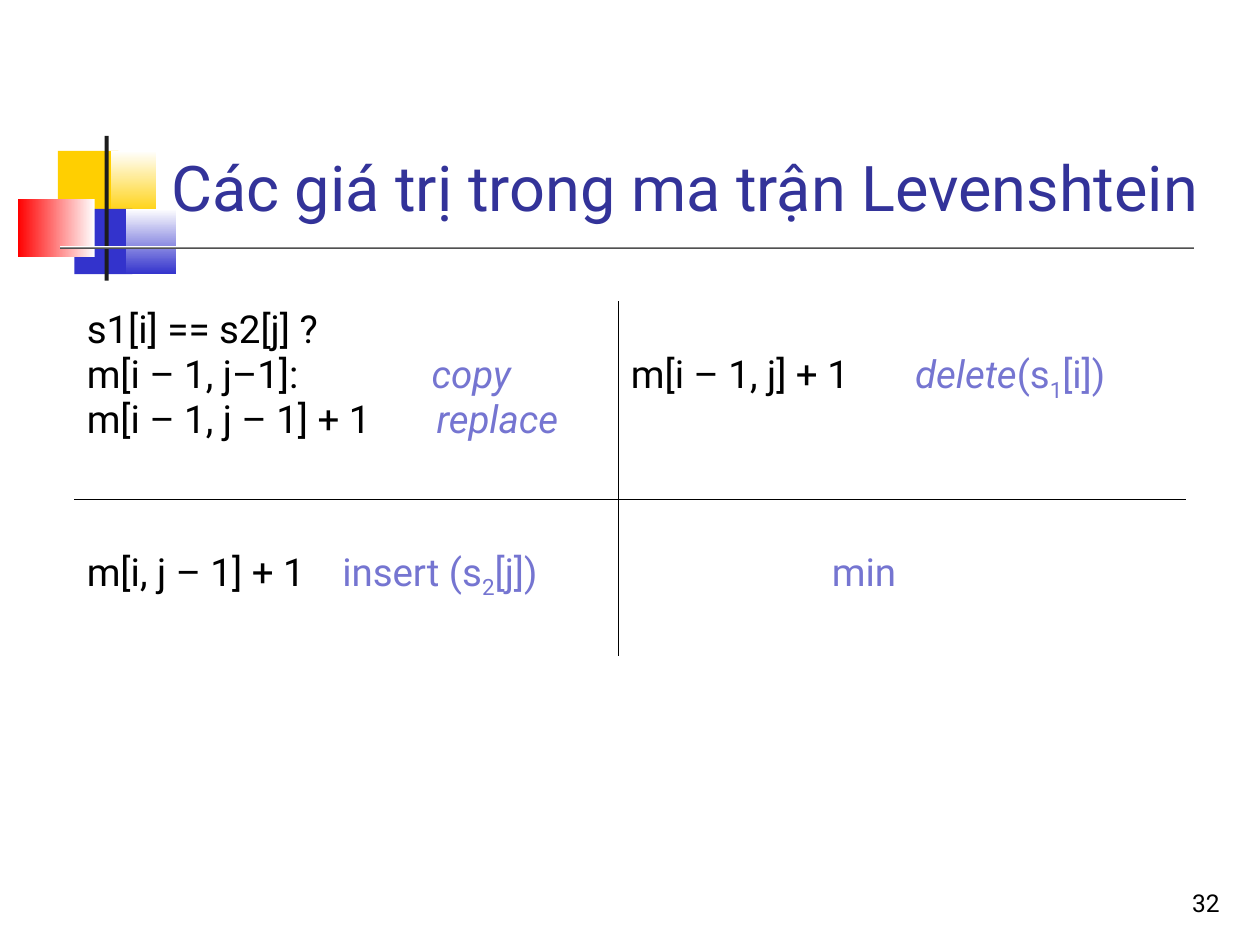
"""Build the slide on the values of the Levenshtein matrix."""
from lxml import etree
from pptx import Presentation
from pptx import util as u
from pptx.dml import color
from pptx.enum import shapes, text
from pptx.oxml import ns

COLORS = {
    "yellow": "FFCF01", "blue": "3333CC", "red": "FF0000", "white": "FFFFFF",
    "dark": "1C1C1C", "title": "333399", "black": "000000", "operation": "7575D1",
}
FONT = "Roboto"
PLAIN = {"color": "black"}
OPERATION = {"color": "operation"}
EMPHASIS = {"color": "operation", "italic": True}
SUBSCRIPT = {"color": "operation", "baseline": "-25000"}


def rgb(name):
    """Return the named colour."""
    return color.RGBColor.from_string(COLORS[name])


def add_element(parent, tag, **attributes):
    """Append a DrawingML element to the parent."""
    return etree.SubElement(parent, ns.qn(tag), attributes)


def add_run(paragraph, words, size, style):
    """Append a run with the given size and style."""
    run = paragraph.add_run()
    run.text = words
    formats = {"name": FONT, "size": u.Pt(size), "italic": style.get("italic", False)}
    for attribute, value in formats.items():
        setattr(run.font, attribute, value)
    run.font.color.rgb = rgb(style["color"])
    if "baseline" in style:
        run.font._element.set("baseline", style["baseline"])


def add_label(slide, box, words, size, style, alignment):
    """Place a bottom-anchored line of text in the box."""
    frame = slide.shapes.add_textbox(*map(u.Cm, box)).text_frame
    formats = {"word_wrap": True, "vertical_anchor": text.MSO_ANCHOR.BOTTOM}
    for attribute, value in formats.items():
        setattr(frame, attribute, value)
    frame.paragraphs[0].alignment = alignment
    add_run(frame.paragraphs[0], words, size, style)


def add_emblem(slide, box):
    """Draw the coloured blocks, the upright bar and the title rule."""
    left, top, width, height = box
    block = 1.32
    parts = [
        (0.81, 0.3, 1.22, block, ["yellow"], 0),
        (1.88, 0.3, 0.91, block, ["yellow", "white"], 90),
        (1.14, 1.47, 1.17, block, ["blue"], 0),
        (2.18, 1.47, 1.02, block, ["blue", "white"], 90),
        (0, 1.27, 1.55, 1.17, ["white", "red"], 180),
        (1.75, 0, 0.08, height, ["dark"], 0),
        (0.86, 2.21, width - 0.86, 0.08, ["dark", "white"], 90),
    ]
    for x, y, part_width, part_height, names, angle in parts:
        shape = slide.shapes.add_shape(
            shapes.MSO_SHAPE.RECTANGLE,
            *map(u.Cm, (left + x, top + y, part_width, part_height)))
        shape.shadow.inherit = False
        shape.line.fill.background()
        if len(names) == 1:
            shape.fill.solid()
            shape.fill.fore_color.rgb = rgb(names[0])
            continue
        shape.fill.gradient()
        shape.fill.gradient_angle = angle
        for stop, name in zip(shape.fill.gradient_stops, names):
            stop.color.rgb = rgb(name)


def set_borders(cell, inner_sides):
    """Rule the inner sides of a cell and clear the outer ones."""
    properties = cell._tc.get_or_add_tcPr()
    for side in "LRTB":
        line = add_element(properties, f"a:ln{side}", w=str(u.Pt(0.45)))
        if side in inner_sides:
            fill = add_element(line, "a:solidFill")
            add_element(fill, "a:srgbClr", val=COLORS["black"])
        else:
            add_element(line, "a:noFill")


def fill_cell(cell, lines):
    """Write lines, each a tab position and its runs, into a cell."""
    frame = cell.text_frame
    for index, (tab, runs) in enumerate(lines):
        paragraph = frame.add_paragraph() if index else frame.paragraphs[0]
        if tab:
            tabs = add_element(paragraph._p.get_or_add_pPr(), "a:tabLst")
            add_element(tabs, "a:tab", pos=str(u.Cm(tab)), algn="l")
        for words, style in runs:
            add_run(paragraph, words, 22, style)


def add_matrix(slide, box):
    """Place the two by two table of matrix values in the box."""
    left, top, width, height = box
    table = slide.shapes.add_table(2, 2, *map(u.Cm, box)).table
    table.first_row = table.horz_banding = False
    column, row = 10.97, 3.99
    for index, size in enumerate((column, width - column)):
        table.columns[index].width = u.Cm(size)
    for index, size in enumerate((row, height - row)):
        table.rows[index].height = u.Cm(size)
    inset, line_down = 0.25, 1.04
    cells = [
        (0, 0, "RB", inset, 0.13, [
            (0, [("s1[i] == s2[j] ?", PLAIN)]),
            (6.95, [("m[i – 1, j–1]:\t", PLAIN), ("copy", EMPHASIS)]),
            (7.05, [("m[i – 1, j – 1] + 1\t", PLAIN), ("replace", EMPHASIS)])]),
        (0, 1, "LB", inset, line_down, [
            (5.73, [("m[i – 1, j] + 1\t", PLAIN), ("delete", EMPHASIS),
                    ("(s", OPERATION), ("1", SUBSCRIPT), ("[i])", OPERATION)])]),
        (1, 0, "RT", inset, line_down, [
            (5.15, [("m[i, j – 1] + 1\t", PLAIN), ("insert (s", OPERATION),
                    ("2", SUBSCRIPT), ("[j])", OPERATION)])]),
        (1, 1, "LT", 4.3, line_down, [(0, [("min", OPERATION)])]),
    ]
    for row_index, column_index, sides, margin_left, margin_top, lines in cells:
        cell = table.cell(row_index, column_index)
        set_borders(cell, sides)
        cell.margin_left, cell.margin_top = u.Cm(margin_left), u.Cm(margin_top)
        if row_index:
            cell.fill.solid()
            cell.fill.fore_color.rgb = rgb("white")
            white = cell._tc.tcPr.find(ns.qn("a:solidFill"))[0]
            add_element(white, "a:alpha", val="20000")
        else:
            cell.fill.background()
        fill_cell(cell, lines)


def main():
    """Build and save the presentation."""
    presentation = Presentation()
    presentation.slide_width, presentation.slide_height = u.Cm(25.4), u.Cm(19.05)
    slide = presentation.slides.add_slide(presentation.slide_layouts[6])
    add_emblem(slide, (0.36, 2.74, 23.72, 2.92))
    add_label(slide, (3.2, 0.58, 21.64, 4.06), "Các giá trị trong ma trận Levenshtein",
              36, {"color": "title"}, text.PP_ALIGN.LEFT)
    add_matrix(slide, (1.5, 6.07, 22.4, 7.16))
    add_label(slide, (19.56, 17.35, 5.28, 1.27), "32", 14, PLAIN, text.PP_ALIGN.RIGHT)
    presentation.save("out.pptx")


if __name__ == "__main__":
    main()
